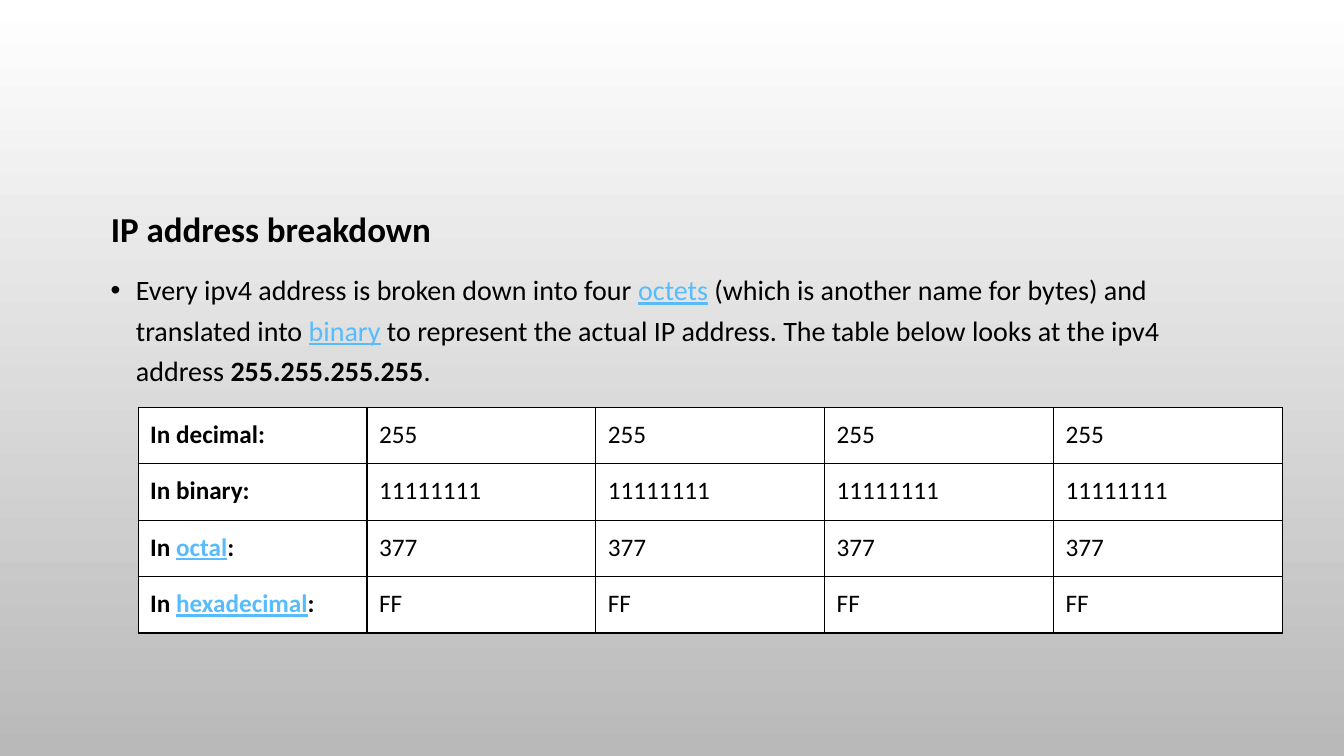
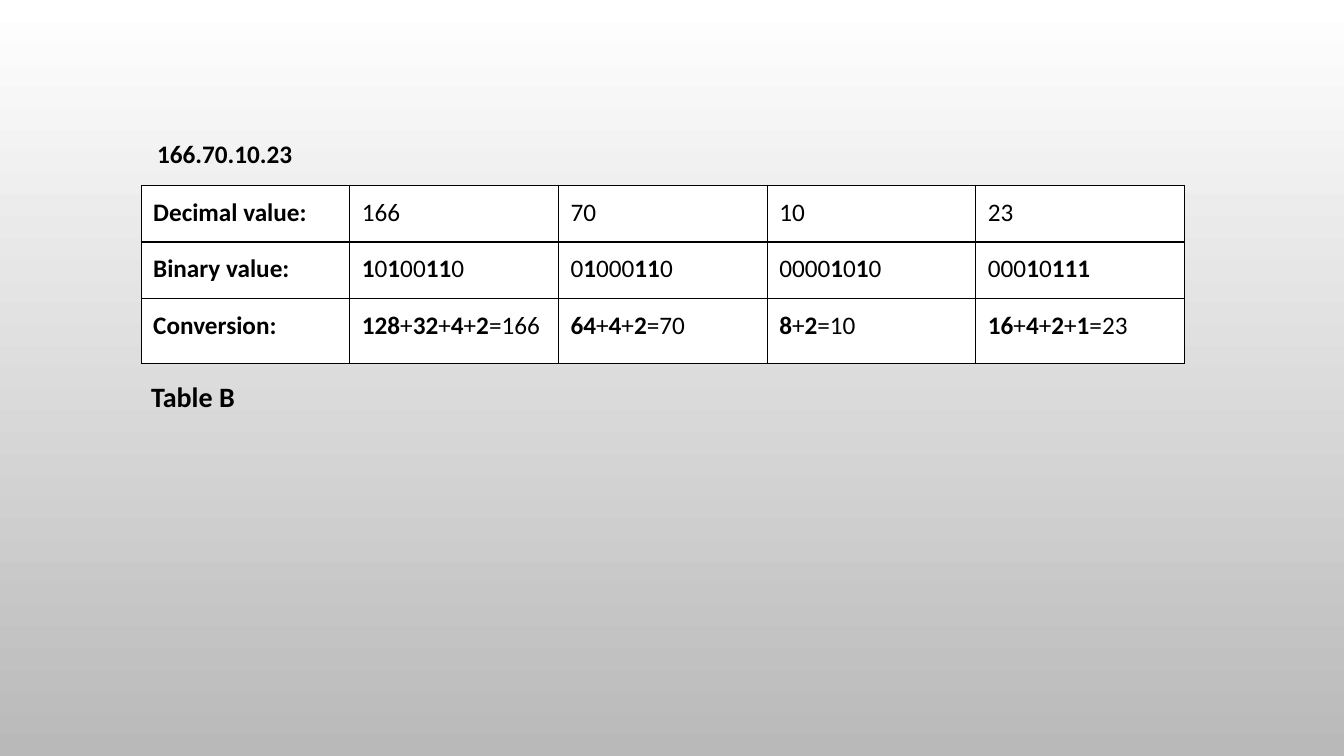
from dataclasses import dataclass
from itertools import groupby

import pptx
import pptx.dml.color
import pptx.enum.text
import pptx.oxml
import pptx.oxml.ns
import pptx.slide
import pptx.table
import pptx.text.text
import pptx.util
from pptx.util import Inches

COLORS = {"text": "000000", "link": "56BCFE", "cell": "FFFFFF",
          "top": "FFFFFF", "bottom": "B9B9B9"}
FONT = "Calibri"
CELL_SIZE, BODY_SIZE, TITLE_SIZE = 18, 20, 25
CELL_INSET = Inches(0.12)


@dataclass
class Box:
    left: float
    top: float
    width: float
    height: float


@dataclass
class Grid:
    left: float
    top: float
    column_width: float
    row_heights: list[float]
    rows: list[list[str]]


def rgb(name: str) -> pptx.dml.color.RGBColor:
    return pptx.dml.color.RGBColor.from_string(COLORS[name])


# Text: *bold* and _link_ are marked inside the strings
def write(paragraph: pptx.text.text._Paragraph, marked: str, size: float) -> None:
    for bold_index, part in enumerate(marked.split("*")):
        for link_index, text in enumerate(part.split("_")):
            if not text:
                continue
            is_link = link_index % 2 == 1
            run = paragraph.add_run()
            run.text = text
            run.font.name = FONT
            run.font.size = pptx.util.Pt(size)
            run.font.bold = bold_index % 2 == 1
            run.font.underline = is_link
            run.font.color.rgb = rgb("link" if is_link else "text")


def add_text(slide: pptx.slide.Slide, box: Box, marked: str,
             size: float) -> pptx.text.text._Paragraph:
    shape = slide.shapes.add_textbox(Inches(box.left), Inches(box.top),
                                     Inches(box.width), Inches(box.height))
    shape.text_frame.word_wrap = True
    paragraph = shape.text_frame.paragraphs[0]
    write(paragraph, marked, size)
    return paragraph


def add_title(slide: pptx.slide.Slide, box: Box, text: str) -> None:
    title = slide.shapes.title
    title.left, title.top = Inches(box.left), Inches(box.top)
    title.width, title.height = Inches(box.width), Inches(box.height)
    frame = title.text_frame
    frame.auto_size = pptx.enum.text.MSO_AUTO_SIZE.NONE
    frame.vertical_anchor = pptx.enum.text.MSO_ANCHOR.MIDDLE
    paragraph = frame.paragraphs[0]
    paragraph.alignment = pptx.enum.text.PP_ALIGN.LEFT
    paragraph.line_spacing = 0.9
    write(paragraph, f"*{text}*", TITLE_SIZE)


def add_bullet(paragraph: pptx.text.text._Paragraph) -> None:
    properties = paragraph._p.get_or_add_pPr()
    properties.set("marL", str(Inches(0.25)))
    properties.set("indent", str(Inches(-0.25)))
    namespace = pptx.oxml.ns.nsdecls("a")
    properties.append(pptx.oxml.parse_xml(f'<a:buFont {namespace} typeface="Arial"/>'))
    properties.append(pptx.oxml.parse_xml(f'<a:buChar {namespace} char="•"/>'))


# Tables: white cells with thin black borders
def add_borders(cell: pptx.table._Cell) -> None:
    properties = cell._tc.get_or_add_tcPr()
    for side in "LRTB":
        properties.append(pptx.oxml.parse_xml(
            f'<a:ln{side} {pptx.oxml.ns.nsdecls("a")} w="{pptx.util.Pt(1)}">'
            f'<a:solidFill><a:srgbClr val="{COLORS["text"]}"/></a:solidFill></a:ln{side}>'))


def add_grid(slide: pptx.slide.Slide, grid: Grid) -> None:
    column_count = len(grid.rows[0])
    table = slide.shapes.add_table(
        len(grid.rows), column_count, Inches(grid.left), Inches(grid.top),
        Inches(grid.column_width * column_count), Inches(sum(grid.row_heights))).table
    table.first_row = table.horz_banding = False
    for column in table.columns:
        column.width = Inches(grid.column_width)
    for row, height, texts in zip(table.rows, grid.row_heights, grid.rows):
        row.height = Inches(height)
        for cell, text in zip(row.cells, texts):
            cell.margin_left = cell.margin_right = CELL_INSET
            cell.margin_top = cell.margin_bottom = CELL_INSET
            add_borders(cell)
            cell.fill.solid()
            cell.fill.fore_color.rgb = rgb("cell")
            write(cell.text_frame.paragraphs[0], text, CELL_SIZE)


# Octets: set bits and their place values are bold
def binary_text(octet: int) -> str:
    groups = ((bit, "".join(bits)) for bit, bits in groupby(f"{octet:08b}"))
    return "".join(f"*{bits}*" if bit == "1" else bits for bit, bits in groups)


def conversion_text(octet: int) -> str:
    values = [2 ** power for power in range(7, -1, -1) if octet & 2 ** power]
    return "+".join(f"*{value}*" for value in values) + f"={octet}"


def build_breakdown(presentation: pptx.presentation.Presentation) -> None:
    slide = presentation.slides.add_slide(presentation.slide_layouts[5])
    add_title(slide, Box(1, 1.72, 11.33, 1.14), "IP address breakdown")
    body = add_text(
        slide, Box(1, 2.59, 11.33, 1.4),
        "Every ipv4 address is broken down into four _octets_ (which is another name "
        "for bytes) and translated into _binary_ to represent the actual IP address. "
        "The table below looks at the ipv4 address *255.255.255.255*.", BODY_SIZE)
    body.line_spacing = 1.2
    body.space_before = pptx.util.Pt(10)
    add_bullet(body)
    formats = {"decimal": "d", "binary": "08b", "_octal_": "o", "_hexadecimal_": "X"}
    rows = [[f"*In {base}:*"] + [format(255, code)] * 4 for base, code in formats.items()]
    add_grid(slide, Grid(1.37, 4.04, 2.27, [0.56] * 4, rows))


def build_conversion(presentation: pptx.presentation.Presentation) -> None:
    slide = presentation.slides.add_slide(presentation.slide_layouts[6])
    octets = [166, 70, 10, 23]
    rows = [["*Decimal value:*", *map(str, octets)],
            ["*Binary value:*", *map(binary_text, octets)],
            ["*Conversion:*", *map(conversion_text, octets)]]
    add_grid(slide, Grid(1.4, 1.84, 2.07, [0.56, 0.56, 0.65], rows))
    add_text(slide, Box(1.4, 3.72, 1.2, 0.44), "*Table B*", BODY_SIZE)
    address = ".".join(map(str, octets))
    add_text(slide, Box(1.46, 1.32, 1.8, 0.4), f"*{address}*", CELL_SIZE)


def main() -> None:
    presentation = pptx.Presentation()
    presentation.slide_width = Inches(13.33)
    presentation.slide_height = Inches(7.5)

    # Shared background
    background = presentation.slide_master.background.fill
    background.gradient()
    background.gradient_angle = 270
    for stop, name, position in zip(background.gradient_stops, ("top", "bottom"), (0, 1)):
        stop.color.rgb = rgb(name)
        stop.position = position

    build_breakdown(presentation)
    build_conversion(presentation)
    presentation.save("out.pptx")


if __name__ == "__main__":
    main()
